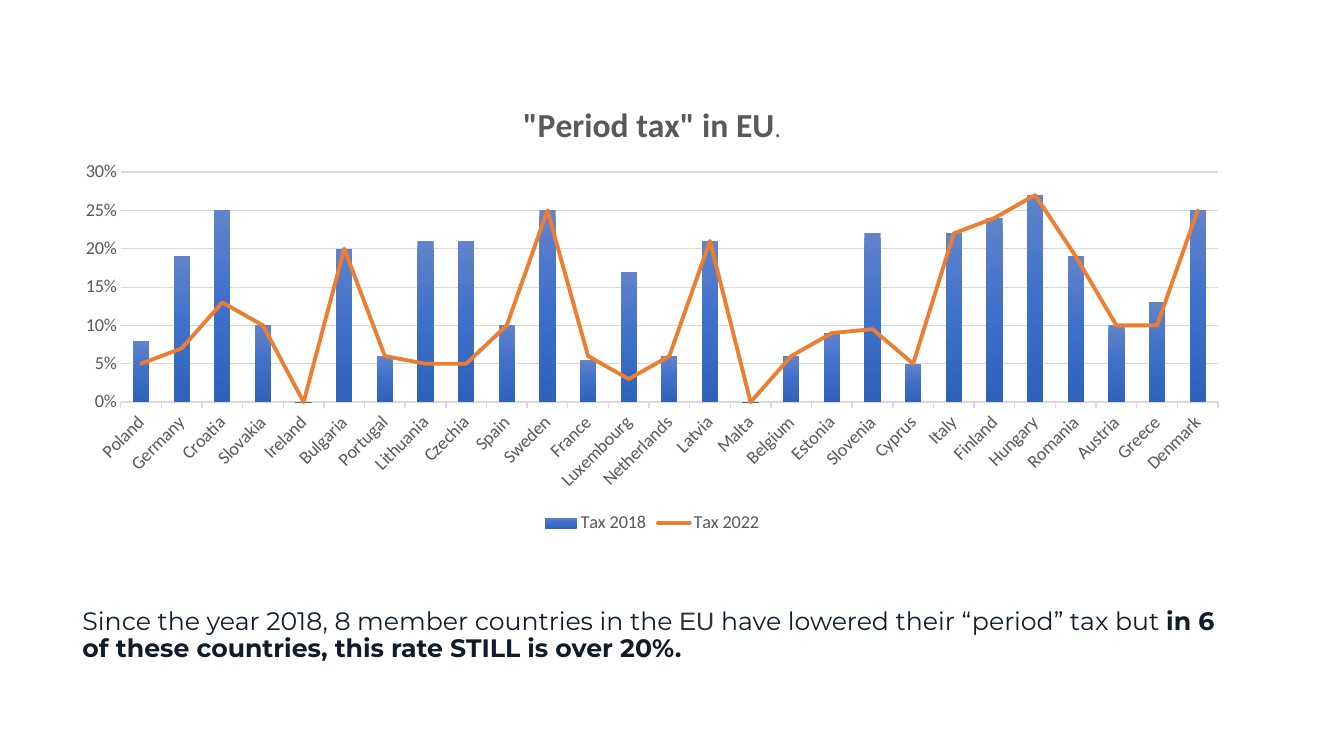
from lxml import etree
from pptx import Presentation
from pptx.chart.data import CategoryChartData
from pptx.dml.color import RGBColor
from pptx.enum import chart as charts, text
from pptx.oxml import parse_xml
from pptx.oxml.ns import nsdecls, qn
from pptx.util import Cm, Pt

NAVY = RGBColor(0x0F, 0x1C, 0x2A)
CHARCOAL = RGBColor(0x33, 0x33, 0x33)
GREY = RGBColor(0x59, 0x59, 0x59)
GRID = RGBColor(0xD9, 0xD9, 0xD9)
ORANGE = RGBColor(0xED, 0x7D, 0x31)
BLUES = (
    (0, RGBColor(0x61, 0x83, 0xCB)),
    (50, RGBColor(0x3E, 0x70, 0xCA)),
    (100, RGBColor(0x30, 0x62, 0xBB)),
)

TAX_RATES = (
    ("Poland", 0.08, 0.05), ("Germany", 0.19, 0.07), ("Croatia", 0.25, 0.13),
    ("Slovakia", 0.1, 0.1), ("Ireland", 0, 0), ("Bulgaria", 0.2, 0.2),
    ("Portugal", 0.06, 0.06), ("Lithuania", 0.21, 0.05), ("Czechia", 0.21, 0.05),
    ("Spain", 0.1, 0.1), ("Sweden", 0.25, 0.25), ("France", 0.055, 0.06),
    ("Luxembourg", 0.17, 0.03), ("Netherlands", 0.06, 0.06), ("Latvia", 0.21, 0.21),
    ("Malta", 0, 0), ("Belgium", 0.06, 0.06), ("Estonia", 0.09, 0.09),
    ("Slovenia", 0.22, 0.095), ("Cyprus", 0.05, 0.05), ("Italy", 0.22, 0.22),
    ("Finland", 0.24, 0.24), ("Hungary", 0.27, 0.27), ("Romania", 0.19, 0.19),
    ("Austria", 0.1, 0.1), ("Greece", 0.13, 0.1), ("Denmark", 0.25, 0.25),
)


class SlideBuilder:
    body_font = "Montserrat"
    chart_font = "Calibri"
    body_size = Pt(18)
    label_size = Pt(13)

    def __init__(self, slide):
        self.slide = slide

    def style(self, font, name, size, color, bold=False):
        font.name, font.size, font.bold = name, size, bold
        font.color.rgb = color

    def add_run(self, paragraph, words, name, size, color, bold=False):
        run = paragraph.add_run()
        run.text = words
        self.style(run.font, name, size, color, bold)

    def add_statement(self, left, top, width, height, runs):
        frame = self.slide.shapes.add_textbox(left, top, width, height).text_frame
        frame.word_wrap = True
        frame.vertical_anchor = text.MSO_ANCHOR.BOTTOM
        frame.margin_top = 0
        frame.margin_bottom = Cm(1.25)
        paragraph = frame.paragraphs[0]
        paragraph.line_spacing = 0.9
        for words, name, color, bold in runs:
            self.add_run(paragraph, words, name, self.body_size, color, bold)

    def add_tax_chart(self, left, top, width, height, title_runs):
        countries, rates_2018, rates_2022 = zip(*TAX_RATES)
        data = CategoryChartData(number_format="0%")
        data.categories = countries
        data.add_series("Tax 2018", rates_2018)
        data.add_series("Tax 2022", rates_2022)
        chart = self.slide.shapes.add_chart(
            charts.XL_CHART_TYPE.COLUMN_CLUSTERED, left, top, width, height, data
        ).chart
        self.style(chart.font, self.chart_font, self.label_size, GREY)
        self.move_last_series_to_line(chart)
        self.style_axes(chart)
        self.style_series(chart)

        chart.has_title = True
        paragraph = chart.chart_title.text_frame.paragraphs[0]
        for words, size, bold in title_runs:
            self.add_run(paragraph, words, self.chart_font, size, GREY, bold)
        chart.chart_title.include_in_layout = False
        chart.has_legend = True
        chart.legend.position = charts.XL_LEGEND_POSITION.BOTTOM
        chart.legend.include_in_layout = False
        self.style(chart.legend.font, self.chart_font, self.label_size, GREY)

    def move_last_series_to_line(self, chart):
        bars = chart.plots[0]._element
        series = bars.findall(qn("c:ser"))[-1]
        for inversion in series.findall(qn("c:invertIfNegative")):
            series.remove(inversion)
        lines = parse_xml(
            f'<c:lineChart {nsdecls("c")}><c:grouping val="standard"/>'
            '<c:varyColors val="0"/></c:lineChart>'
        )
        lines.append(series)
        etree.SubElement(lines, qn("c:marker")).set("val", "1")
        for axis in bars.findall(qn("c:axId")):
            etree.SubElement(lines, qn("c:axId")).set("val", axis.get("val"))
        bars.addnext(lines)

    def style_axes(self, chart):
        for axis in (chart.category_axis, chart.value_axis):
            self.style(axis.tick_labels.font, self.chart_font, self.label_size, GREY)
        category_axis, value_axis = chart.category_axis, chart.value_axis
        category_axis.major_tick_mark = charts.XL_TICK_MARK.OUTSIDE
        category_axis.format.line.color.rgb = GRID
        category_axis.format.line.width = Pt(1)
        category_axis._element.find(qn("c:txPr")).find(qn("a:bodyPr")).set("rot", "-2700000")
        value_axis.minimum_scale, value_axis.maximum_scale = 0, 0.3
        value_axis.major_unit = 0.05
        value_axis.major_tick_mark = charts.XL_TICK_MARK.NONE
        value_axis.format.line.fill.background()
        value_axis.tick_labels.number_format = "0%"
        value_axis.tick_labels.number_format_is_linked = False
        gridline = value_axis.major_gridlines.format.line
        gridline.color.rgb = GRID
        gridline.width = Pt(0.75)

    def style_series(self, chart):
        bar_plot, line_plot = chart.plots
        bar_plot.gap_width = 150
        bar_plot.vary_by_categories = False
        stops = "".join(
            f'<a:gs pos="{percent * 1000}"><a:srgbClr val="{color}"/></a:gs>'
            for percent, color in BLUES
        )
        properties = bar_plot.series[0]._element.get_or_add_spPr()
        properties.append(parse_xml(
            f'<a:gradFill {nsdecls("a")} rotWithShape="1"><a:gsLst>{stops}</a:gsLst>'
            '<a:lin ang="5400000" scaled="0"/></a:gradFill>'
        ))
        series = line_plot.series[0]
        series.smooth = False
        series.marker.style = charts.XL_MARKER_STYLE.NONE
        series.format.line.color.rgb = ORANGE
        series.format.line.width = Pt(2.75)
        series.format.line._get_or_add_ln().set("cap", "rnd")


presentation = Presentation()
presentation.slide_width = Cm(33.87)
presentation.slide_height = Cm(19.05)
builder = SlideBuilder(presentation.slides.add_slide(presentation.slide_layouts[6]))
builder.add_tax_chart(
    Cm(1.57), Cm(2.18), Cm(29.72), Cm(11.38),
    (('"Period tax" in EU', Pt(24), True), (".", Pt(18), False)),
)
body = builder.body_font
builder.add_statement(
    Cm(1.83), Cm(15.8), Cm(29.21), Cm(2.16),
    (
        ("Since the year 2018, 8 member countries in the ", body, NAVY, False),
        ("EU", "Arial", CHARCOAL, False),
        (" have lowered their “period” tax but ", body, NAVY, False),
        ("in 6 of these countries, this rate STILL is over 20%.", body, NAVY, True),
    ),
)
presentation.save("out.pptx")
